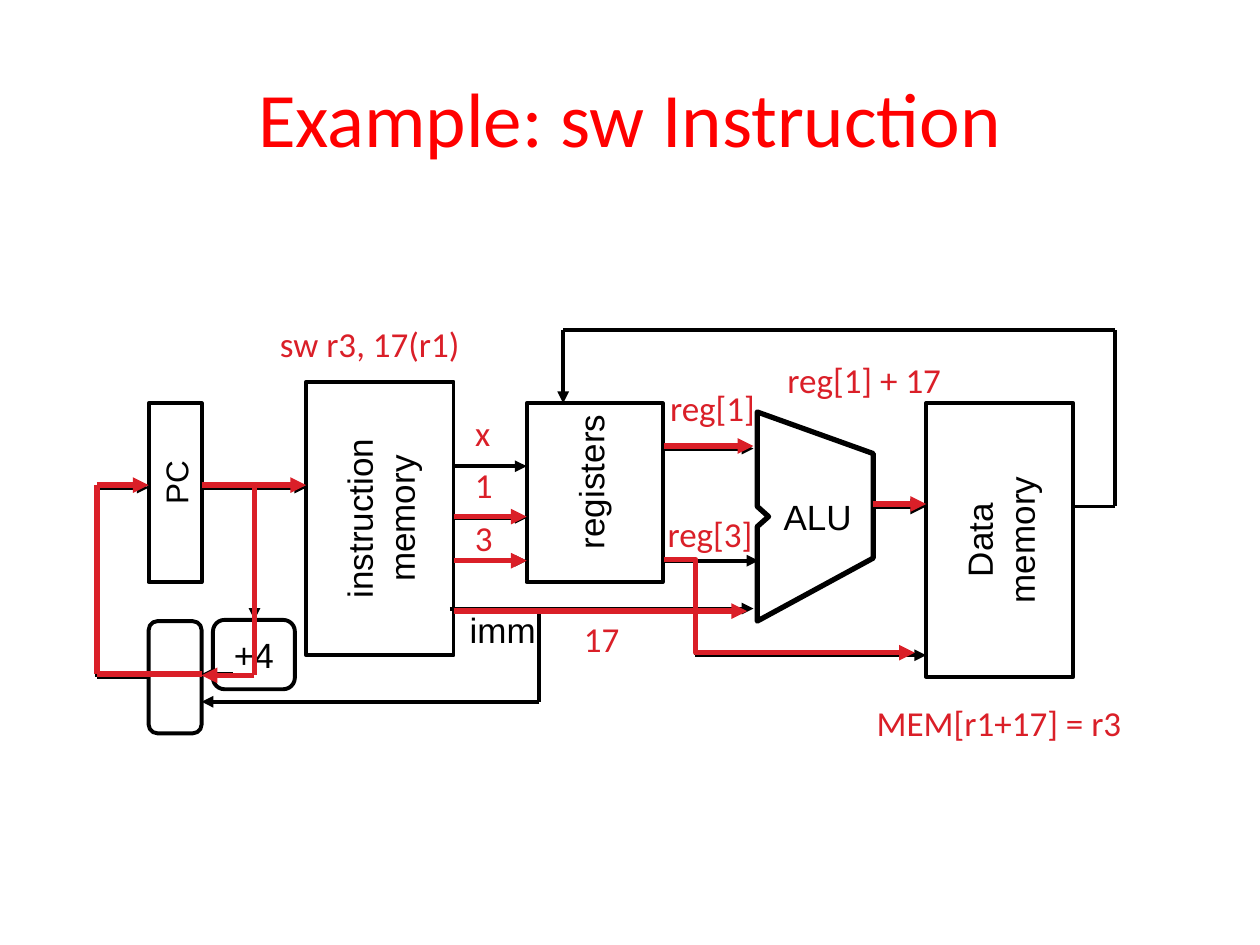
"""Build the datapath slide that traces an sw instruction."""
from itertools import pairwise
from typing import NamedTuple

from pptx import Presentation
from pptx.dml.color import RGBColor
from pptx.enum.shapes import MSO_CONNECTOR as Connector, MSO_SHAPE as Preset
from pptx.enum.text import MSO_ANCHOR as Anchor, PP_ALIGN as Align
from pptx.oxml.ns import qn
from pptx.oxml.xmlchemy import OxmlElement
from pptx.util import Pt

SCALE = 9144
BLACK, RED, WHITE, TITLE_RED = "000000", "DA1F28", "FFFFFF", "FF0000"
THIN, THICK = 2.25, 3


class Block(NamedTuple):
    left: int
    top: int
    width: int
    height: int
    text: str = ""
    preset: Preset = Preset.RECTANGLE
    rotation: int = 0
    fill: str | None = WHITE


class Label(NamedTuple):
    left: int
    top: int
    width: int
    height: int
    text: str
    font: str = "Calibri"
    color: str = RED
    size: int = 20
    rotation: int = 0
    anchor: Anchor = Anchor.MIDDLE


class Wire(NamedTuple):
    points: tuple[tuple[int, int], ...]
    arrow: bool = True
    color: str = BLACK
    width: float = THIN


BLOCKS = (
    Block(118, 320, 42, 142, fill=None),
    Block(193, 353, 217, 117, "instruction\nmemory", rotation=270),
    Block(169, 492, 65, 55, "+4", Preset.ROUNDED_RECTANGLE),
    Block(418, 320, 108, 142),
    Block(685, 370, 217, 117, "Data\nmemory", rotation=270),
    Block(118, 493, 42, 89, preset=Preset.ROUNDED_RECTANGLE),
)
ALU_OUTLINE = ((601, 327), (693, 360), (693, 443), (601, 493),
               (601, 418), (610, 410), (601, 402))
STORE_PATH = ((527, 444), (552, 444), (552, 518), (726, 518))
WIRES = (
    Wire(((160, 387), (243, 387))),
    Wire(((360, 370), (418, 370))),
    Wire(((360, 411), (418, 411))),
    Wire(((360, 445), (418, 445))),
    Wire(((693, 402), (735, 402)), width=THICK),
    Wire(((527, 445), (602, 445))),
    Wire(((357, 483), (598, 483))),
    Wire(((527, 356), (598, 356))),
    Wire(((552, 445), (552, 478)), arrow=False),
    Wire(((552, 487), (552, 520), (735, 520))),
    Wire(((852, 402), (885, 402), (885, 262), (447, 262), (447, 320))),
    Wire(((202, 387), (202, 492))),
    Wire(((185, 535), (160, 535))),
    Wire(((428, 483), (428, 557), (160, 557))),
    Wire(((118, 537), (77, 537), (77, 387), (118, 387))),
)
ACTIVE_WIRES = tuple(Wire(points, color=RED, width=THICK) for points in (
    ((160, 385), (243, 385)),
    ((693, 400), (735, 400)),
    ((360, 410), (418, 410)),
    ((360, 485), (593, 485)),
    ((527, 354), (598, 354)),
    ((360, 445), (418, 445)),
    ((202, 387), (202, 536), (160, 536)),
    ((160, 535), (77, 535), (77, 385), (118, 385)),
))
LABELS = (
    Label(112, 363, 55, 40, "PC", "Arial", BLACK, 18, 270),
    Label(405, 361, 127, 43, "registers", "Arial", BLACK, rotation=270),
    Label(597, 388, 104, 52, "ALU", "Arial", BLACK, anchor=Anchor.TOP),
    Label(355, 478, 88, 43, "imm", "Arial", BLACK),
    Label(208, 251, 171, 44, "sw r3, 17(r1)"),
    Label(367, 321, 32, 44, "x"),
    Label(366, 363, 36, 43, "1"),
    Label(366, 405, 36, 43, "3"),
    Label(453, 485, 49, 44, "17"),
    Label(520, 302, 91, 43, "reg[1]"),
    Label(518, 402, 91, 43, "reg[3]"),
    Label(608, 275, 156, 52, "reg[1] + 17"),
    Label(663, 547, 260, 52, "MEM[r1+17] = r3"),
)


def px(*lengths: int) -> list[int]:
    """Turn lengths in px into EMU."""
    return [length * SCALE for length in lengths]


def rgb(color: str) -> RGBColor:
    """Turn a hex string into a colour."""
    return RGBColor.from_string(color)


def set_line(shape, color: str, width: float, arrow: bool = False) -> None:
    """Format the line of a shape or connector."""
    shape.line.color.rgb = rgb(color)
    shape.line.width = Pt(width)
    if arrow:
        tail = OxmlElement("a:tailEnd")
        tail.set("type", "triangle")
        shape.line._get_or_add_ln().append(tail)


def set_text(shape, text: str, font: str, size: int, color: str,
             anchor: Anchor = Anchor.MIDDLE) -> None:
    """Write centred text into a shape."""
    frame = shape.text_frame
    frame.text = text
    frame.word_wrap = False
    frame.vertical_anchor = anchor
    for paragraph in frame.paragraphs:
        paragraph.alignment = Align.CENTER
        paragraph.font.name = font
        paragraph.font.size = Pt(size)
        paragraph.font.color.rgb = rgb(color)


def draw_block(slide, block: Block) -> None:
    """Draw one datapath unit."""
    shape = slide.shapes.add_shape(
        block.preset, *px(block.left, block.top, block.width, block.height))
    shape.shadow.inherit = False
    shape.rotation = block.rotation
    if block.fill:
        shape.fill.solid()
        shape.fill.fore_color.rgb = rgb(block.fill)
    else:
        shape.fill.background()
    set_line(shape, BLACK, THIN)
    if block.text:
        set_text(shape, block.text, "Arial", 20, BLACK)


def draw_outline(slide, points: tuple, color: str, closed: bool) -> None:
    """Draw an unfilled outline, with an arrowhead if it is open."""
    builder = slide.shapes.build_freeform(*points[0], scale=SCALE)
    builder.add_line_segments(points[1:], close=closed)
    shape = builder.convert_to_shape()
    shape.shadow.inherit = False
    shape.fill.background()
    set_line(shape, color, THICK, arrow=not closed)


def draw_wire(slide, wire: Wire) -> None:
    """Draw a wire as straight segments, with the arrowhead on the last."""
    for start, end in pairwise(wire.points):
        connector = slide.shapes.add_connector(
            Connector.STRAIGHT, *px(*start, *end))
        last = end == wire.points[-1]
        set_line(connector, wire.color, wire.width, wire.arrow and last)
        properties = connector._element.find(qn("p:spPr"))
        properties.append(OxmlElement("a:effectLst"))


def draw_label(slide, label: Label) -> None:
    """Draw one text label."""
    box = slide.shapes.add_textbox(
        *px(label.left, label.top, label.width, label.height))
    box.rotation = label.rotation
    set_text(box, label.text, label.font, label.size, label.color, label.anchor)


def main() -> None:
    """Build and save the slide."""
    presentation = Presentation()
    presentation.slide_width, presentation.slide_height = px(1000, 750)
    slide = presentation.slides.add_slide(presentation.slide_layouts[5])
    title = slide.shapes.title
    title.left, title.top, title.width, title.height = px(50, 30, 900, 125)
    set_text(title, "Example: sw Instruction", "Calibri", 44, TITLE_RED)
    for block in BLOCKS:
        draw_block(slide, block)
    draw_outline(slide, ALU_OUTLINE, BLACK, closed=True)
    for wire in WIRES + ACTIVE_WIRES:
        draw_wire(slide, wire)
    draw_outline(slide, STORE_PATH, RED, closed=False)
    for label in LABELS:
        draw_label(slide, label)
    presentation.save("out.pptx")


if __name__ == "__main__":
    main()
